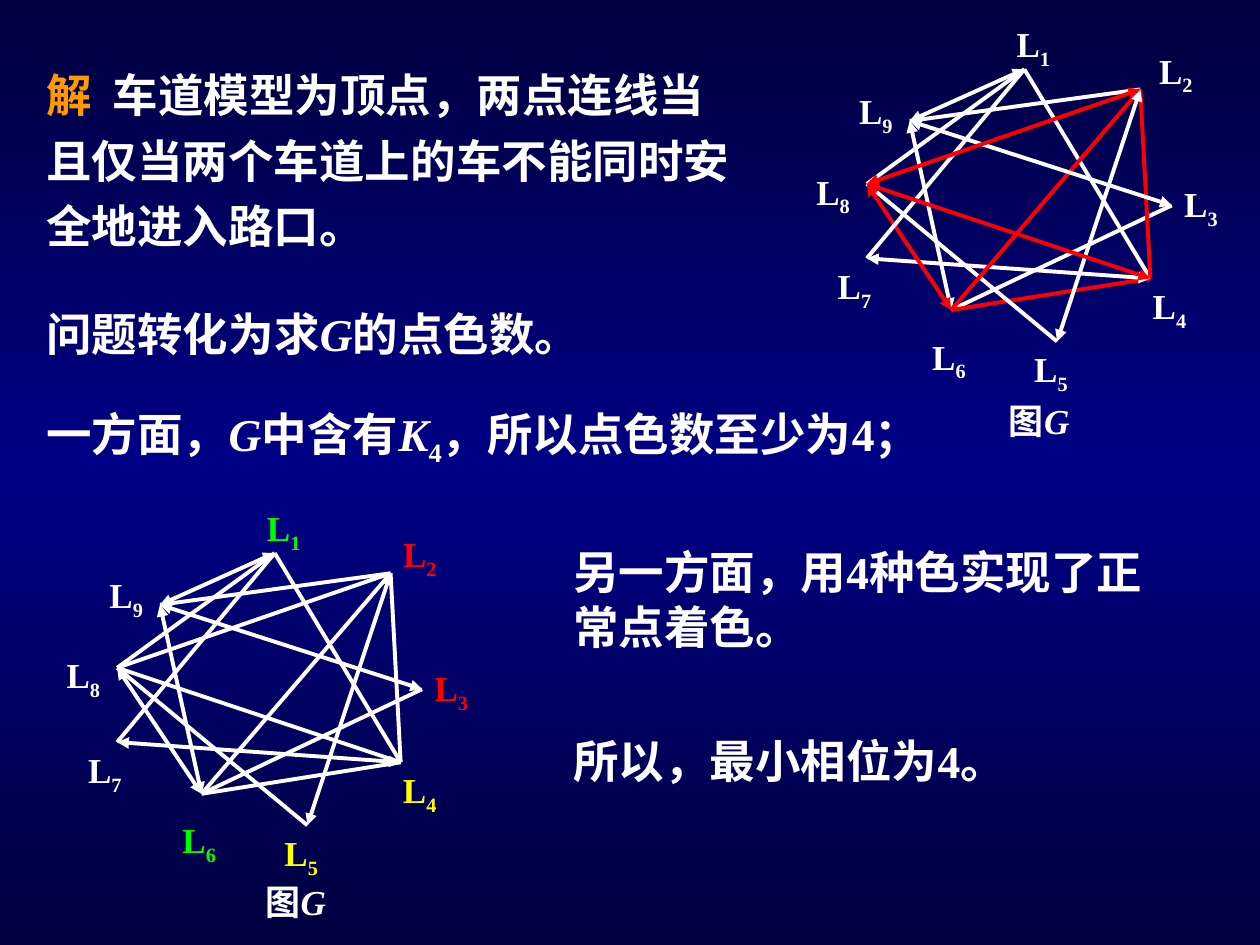
"""Build the slide on lane phases as a vertex colouring of graph G."""
from copy import deepcopy

from lxml.etree import SubElement
from pptx import Presentation
from pptx.dml.color import RGBColor
from pptx.enum.shapes import MSO_CONNECTOR
from pptx.enum.text import MSO_AUTO_SIZE
from pptx.oxml.ns import qn
from pptx.util import Pt

SCALE = 9144
HUES = {"white": "FFFFFF", "red": "FF0000", "green": "00FF00", "yellow": "FFFF00",
        "orange": "FF9900", "edge": "00003E", "mid": "000086"}
NODES = {1: (218, 439), 2: (310, 455), 3: (335, 547), 4: (318, 605), 5: (244, 655),
         6: (160, 630), 7: (93, 589), 8: (93, 530), 9: (127, 480)}
SPOTS = {1: (202, 397, 70), 2: (310, 418, 72), 3: (335, 524, 71), 4: (310, 605, 80),
         5: (216, 655, 93), 6: (135, 645, 66), 7: (60, 589, 62), 8: (43, 514, 71),
         9: (77, 450, 53)}
EDGES = [(9, 2), (1, 4), (1, 8), (3, 6), (4, 6), (2, 4), (7, 4), (8, 5), (1, 9),
         (9, 6), (6, 8), (1, 7), (2, 6), (9, 3), (2, 5), (2, 8), (8, 4)]
ARROWS = {(1, 9), (9, 6), (6, 8), (9, 3), (7, 4), (2, 5)}
CLIQUE = {2, 4, 6, 8}


def rgb(hue):
    return RGBColor.from_string(HUES[hue])


class Board:
    def __init__(self, deck, font="Times New Roman", line=2.25):
        self.slide = deck.slides.add_slide(deck.slide_layouts[6])
        self.home = self.slide.shapes
        self.font, self.line = font, line

    def back(self, *hues):
        fill = self.slide.background.fill
        fill.gradient()
        fill.gradient_angle = 90
        stops = self.slide.element.find(".//" + qn("a:gsLst"))
        stops.insert(1, deepcopy(stops[0]))
        for i, (stop, hue) in enumerate(zip(fill.gradient_stops, hues)):
            stop.position = i / 2
            stop.color.rgb = rgb(hue)

    def text(self, x, y, w, h, parts, size=26, space=None):
        box = self.home.add_textbox(*(n * SCALE for n in (x, y, w, h)))
        frame = box.text_frame
        frame.word_wrap = True
        frame.auto_size = MSO_AUTO_SIZE.SHAPE_TO_FIT_TEXT
        para = frame.paragraphs[0]
        para.line_spacing = space
        for words, look, hue in parts:
            run = para.add_run()
            run.text = words
            font = run.font
            font.name, font.size, font.bold = self.font, Pt(size), True
            font.italic = look == "italic"
            font.color.rgb = rgb(hue)
            if look == "sub":
                run._r.get_or_add_rPr().set("baseline", "-25000")

    def edge(self, start, end, hue, tips):
        link = self.home.add_connector(
            MSO_CONNECTOR.STRAIGHT, *(n * SCALE for n in start + end))
        link.line.width = Pt(self.line)
        link.line.color.rgb = rgb(hue)
        props = link._element.spPr
        if tips:
            for tag in ("a:headEnd", "a:tailEnd"):
                SubElement(props.find(qn("a:ln")), qn(tag), type="triangle")
        SubElement(props, qn("a:effectLst"))

    def graph(self, dx, dy, spots, hues, clique, title):
        self.home = self.slide.shapes.add_group_shape().shapes
        nodes = {n: (x + dx, y + dy) for n, (x, y) in NODES.items()}
        for a, b in EDGES:
            hot = {a, b} <= clique
            tips = (a, b) in ARROWS or hot and 8 in (a, b)
            self.edge(nodes[a], nodes[b], "red" if hot else "white", tips)
        for n, (x, y, w) in spots.items():
            hue = hues.get(n, "white")
            self.text(x + dx, y + dy, w, 48,
                      [("L", "", hue), (str(n), "sub", hue)], size=20)
        self.text(*title, [("图", "", "white"), ("G", "italic", "white")], size=20)
        self.home = self.slide.shapes


def main():
    deck = Presentation()
    deck.slide_width, deck.slide_height = 1000 * SCALE, 750 * SCALE
    board = Board(deck)
    board.back("edge", "mid", "edge")
    board.text(27, 40, 567, 166, [
        ("解", "", "orange"),
        ("  车道模型为顶点，两点连线当且仅当两个车道上的车不能同时安全地进入路口。", "", "white"),
    ], space=1.2)
    board.text(27, 317, 740, 60, [
        ("一方面，", "", "white"), ("G", "italic", "white"), ("中含有", "", "white"),
        ("K", "italic", "white"), ("4", "sub", "white"),
        ("，所以点色数至少为4；", "", "white"),
    ])
    board.text(27, 238, 512, 54, [
        ("问题转化为求", "", "white"), ("G", "italic", "white"), ("的点色数。", "", "white"),
    ])
    board.text(445, 427, 480, 97, [("另一方面，用4种色实现了正常点着色。", "", "white")])
    hues = {1: "green", 2: "red", 3: "red", 4: "yellow", 5: "yellow", 6: "green"}
    board.graph(0, 0, SPOTS, hues, set(), (201, 694, 77, 44))
    board.text(445, 577, 423, 54, [("所以，最小相位为4。", "", "white")])
    spots = SPOTS | {2: (315, 418, 61)}
    board.graph(595, -384, spots, {}, CLIQUE, (791, 312, 87, 44))
    deck.save("out.pptx")


if __name__ == "__main__":
    main()
